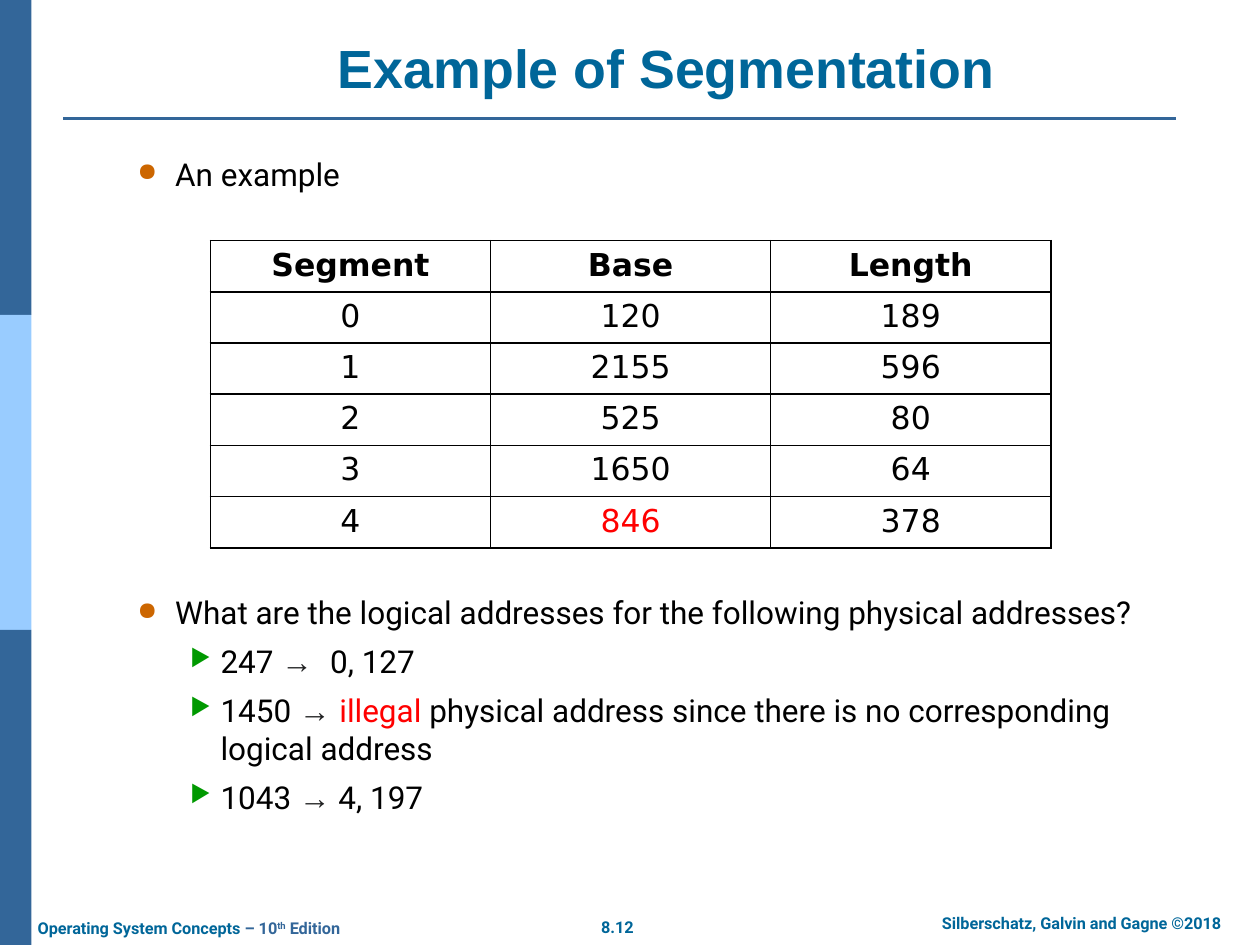
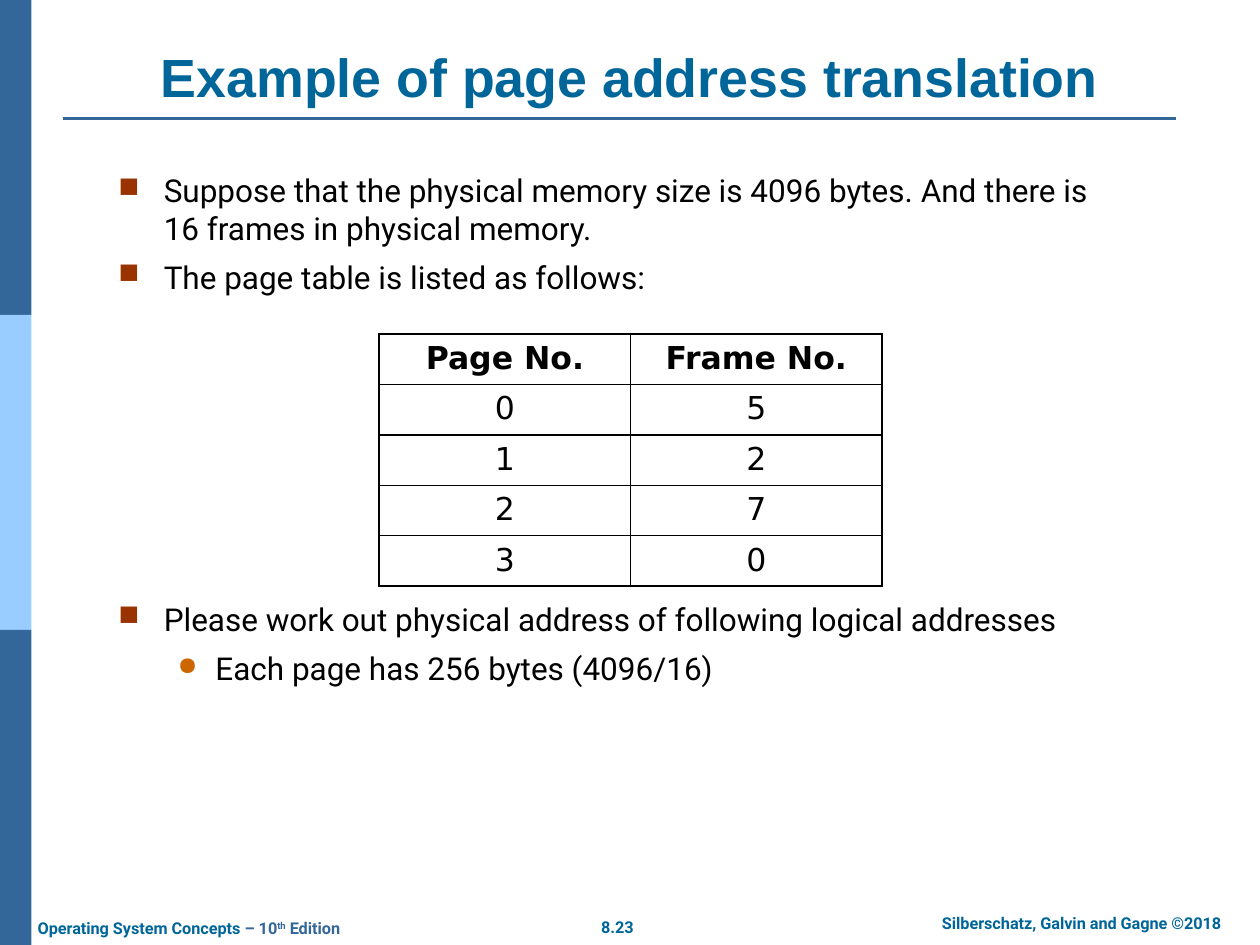
import pptx
import pptx.dml.color
import pptx.enum.shapes
import pptx.enum.text
import pptx.oxml.ns
import pptx.util
from lxml import etree

Inches = pptx.util.Inches
Pt = pptx.util.Pt
ALIGN = pptx.enum.text.PP_ALIGN
ANCHOR = pptx.enum.text.MSO_ANCHOR

COLORS = {
    "white": "FFFFFF", "black": "000000", "red": "FF0000",
    "band": "336699", "band_light": "99CCFF", "heading": "006699",
    "arrow": "202122", "square": "993300", "dot": "CC6600", "triangle": "009900",
}
# level: (bullet, colour, size in %, left margin, hanging indent)
BULLETS = {
    0: ("■", "square", 90, 0.36, 0.36),
    1: ("●", "dot", 80, 0.77, 0.3),
    2: ("▶", "triangle", 75, 1.13, 0.24),
}
ARROW = {"font": "Arial", "color": "arrow"}


def rgb(name):
    return pptx.dml.color.RGBColor.from_string(COLORS[name])


def add_xml(parent, tag, **attributes):
    return etree.SubElement(parent, pptx.oxml.ns.qn(tag), **attributes)


class Deck:
    """Holds the shared style and the slide being built."""

    body_font, title_font, table_font = "Roboto", "Arial", "DejaVu Sans"
    body_size, title_size, footer_size = 18, 30.7, 9.3

    def __init__(self):
        self.prs = pptx.Presentation()
        self.prs.slide_width, self.prs.slide_height = Inches(10), Inches(7.5)
        self.slide = None

    def start_slide(self, title, title_box, number):
        self.slide = self.prs.slides.add_slide(self.prs.slide_layouts[6])
        for i, color in enumerate(("band", "band_light", "band")):
            self.band(2.5 * i, color)
        self.rule()
        self.footer((4.4, 7.23, 1, 0.25), [number], ALIGN.CENTER)
        self.footer((7.1, 7.2, 2.97, 0.25),
                    ["Silberschatz, Galvin and Gagne ©2018"], ALIGN.CENTER)
        self.footer((0.2, 7.24, 2.82, 0.25), [
            "Operating System Concepts",
            (" – 10", {"color": "band"}),
            ("th", {"color": "band", "raised": True}),
            (" Edition", {"color": "band"}),
        ], ALIGN.LEFT)
        frame = self.text_box(title_box, 0.14, 0.07)
        frame.vertical_anchor = ANCHOR.BOTTOM
        frame.text = title
        frame.paragraphs[0].alignment = ALIGN.CENTER
        self.format_run(frame.paragraphs[0].runs[0], self.title_font,
                        self.title_size, "heading", True)

    def band(self, top, color):
        band = self.slide.shapes.add_shape(
            pptx.enum.shapes.MSO_SHAPE.RECTANGLE,
            Inches(0), Inches(top), Inches(0.25), Inches(2.5))
        band.shadow.inherit = False
        band.fill.solid()
        band.fill.fore_color.rgb = rgb(color)
        band.line.fill.background()

    def rule(self):
        rule = self.slide.shapes.add_connector(
            pptx.enum.shapes.MSO_CONNECTOR.STRAIGHT,
            Inches(0.5), Inches(0.94), Inches(9.33), Inches(0.94))
        rule.line.color.rgb = rgb("band")
        rule.line.width = Pt(1.5)
        add_xml(rule._element.spPr, "a:effectLst")

    def text_box(self, box, side_inset, end_inset):
        frame = self.slide.shapes.add_textbox(*map(Inches, box)).text_frame
        frame.word_wrap = True
        frame.margin_left = frame.margin_right = Inches(side_inset)
        frame.margin_top = frame.margin_bottom = Inches(end_inset)
        return frame

    def format_run(self, run, font, size, color, bold=False, raised=False):
        run.font.name, run.font.size, run.font.bold = font, Pt(size), bold
        run.font.color.rgb = rgb(color)
        if raised:
            run._r.get_or_add_rPr().set("baseline", "30000")

    def fill_paragraph(self, paragraph, parts, **defaults):
        """Each part is a string, or a string with its own formatting."""
        for part in parts:
            text, changes = (part, {}) if isinstance(part, str) else part
            run = paragraph.add_run()
            run.text = text
            self.format_run(run, **{**defaults, **changes})

    def footer(self, box, parts, alignment):
        paragraph = self.text_box(box, 0.1, 0.05).paragraphs[0]
        paragraph.alignment = alignment
        self.fill_paragraph(paragraph, parts, font=self.body_font,
                            size=self.footer_size, color="heading", bold=True)

    def bullets(self, box, items):
        """Each item is a level followed by the parts of its text."""
        frame = self.text_box(box, 0.14, 0.07)
        for i, (level, *parts) in enumerate(items):
            paragraph = frame.add_paragraph() if i else frame.paragraphs[0]
            symbol, color, percent, margin, hanging = BULLETS[level]
            properties = paragraph._p.get_or_add_pPr()
            properties.set("marL", str(Inches(margin)))
            properties.set("indent", str(-Inches(hanging)))
            tint = add_xml(properties, "a:buClr")
            add_xml(tint, "a:srgbClr", val=COLORS[color])
            add_xml(properties, "a:buSzPct", val=str(percent * 1000))
            add_xml(properties, "a:buChar", char=symbol)
            if i:
                paragraph.space_before = Pt(0.35 * self.body_size)
            self.fill_paragraph(paragraph, parts, font=self.body_font,
                                size=self.body_size, color="black")

    def table(self, box, rows, red_values=()):
        table = self.slide.shapes.add_table(
            len(rows), len(rows[0]), *map(Inches, box)).table
        table.first_row = table.horz_banding = False
        for r, row in enumerate(rows):
            for c, value in enumerate(row):
                cell = table.cell(r, c)
                cell.text = value
                cell.fill.solid()
                cell.fill.fore_color.rgb = rgb("white")
                self.cell_borders(cell)
                paragraph = cell.text_frame.paragraphs[0]
                paragraph.alignment = ALIGN.CENTER
                color = "red" if value in red_values else "black"
                self.format_run(paragraph.runs[0], self.table_font,
                                self.body_size, color, r == 0)

    def cell_borders(self, cell):
        properties = cell._tc.get_or_add_tcPr()
        for i, side in enumerate("LRTB"):
            border = add_xml(properties, f"a:ln{side}", w=str(Pt(1)))
            fill = add_xml(border, "a:solidFill")
            add_xml(fill, "a:srgbClr", val=COLORS["black"])
            properties.insert(i, border)


def build_segmentation(deck):
    deck.start_slide("Example of Segmentation", (1.08, 0.23, 8.42, 0.63), "8.12")
    deck.bullets((0.48, 1.16, 8.91, 0.5), [(1, "An example")])
    deck.table((1.67, 1.91, 6.67, 2.44), [
        ("Segment", "Base", "Length"),
        ("0", "120", "189"),
        ("1", "2155", "596"),
        ("2", "525", "80"),
        ("3", "1650", "64"),
        ("4", "846", "378"),
    ], red_values=("846",))
    deck.bullets((0.48, 4.64, 8.91, 2.2), [
        (1, "What are the logical addresses for the following physical addresses?"),
        (2, "247 ", ("→", ARROW), " \t0, 127"),
        (2, "1450 ", ("→ ", ARROW), ("illegal", {"color": "red"}),
         " physical address since there is no corresponding logical address"),
        (2, "1043 ", ("→", ARROW), " 4, 197"),
    ])


def build_page_translation(deck):
    deck.start_slide("Example of page address translation", (0.5, 0.3, 9, 0.63), "8.23")
    deck.bullets((0.8, 1.29, 8.2, 1.2), [
        (0, "Suppose that the physical memory size is 4096 bytes. "
            "And there is 16 frames in physical memory."),
        (0, "The page table is listed as follows:"),
    ])
    deck.table((3.01, 2.65, 3.99, 1.95), [
        ("Page No.", "Frame No."),
        ("0", "5"),
        ("1", "2"),
        ("2", "7"),
        ("3", "0"),
    ])
    deck.bullets((0.8, 4.69, 8.2, 0.9), [
        (0, "Please work out physical address of following logical addresses"),
        (1, "Each page has 256 bytes (4096/16)"),
    ])


def main():
    deck = Deck()
    build_segmentation(deck)
    build_page_translation(deck)
    deck.prs.save("out.pptx")


if __name__ == "__main__":
    main()
